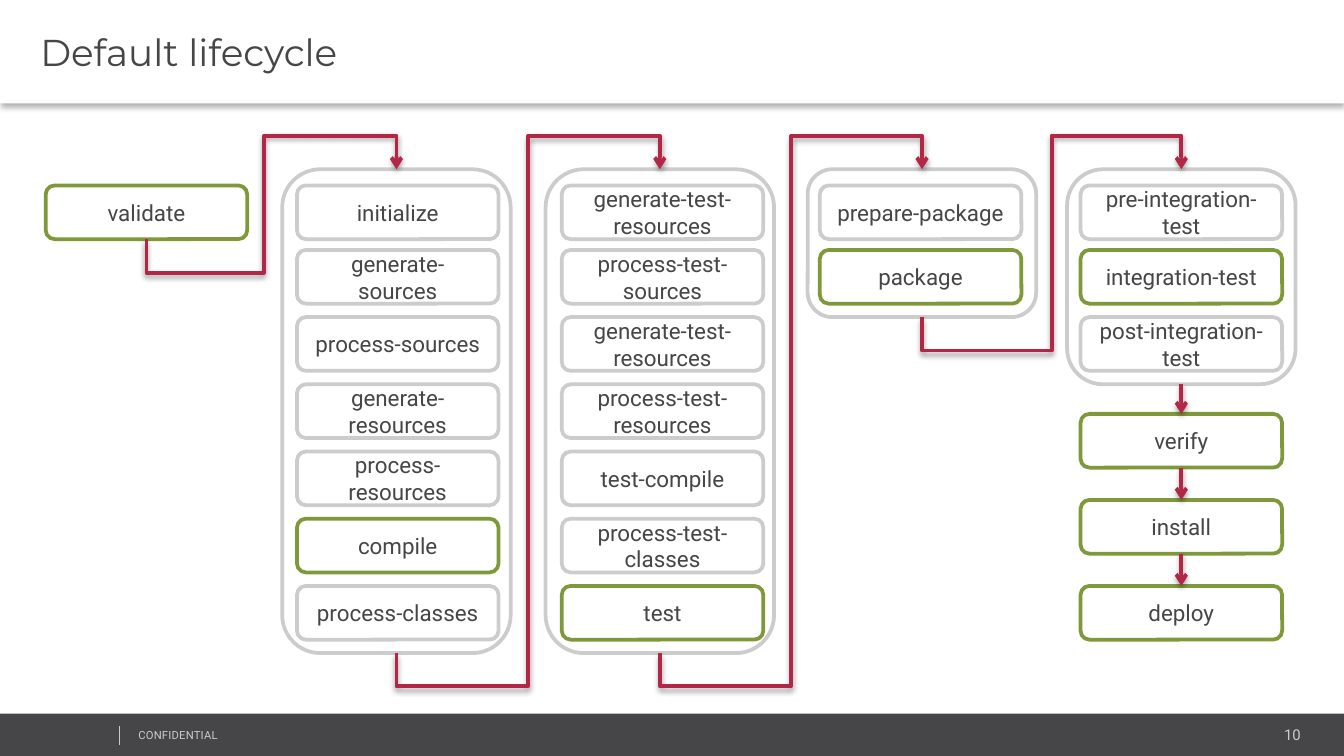
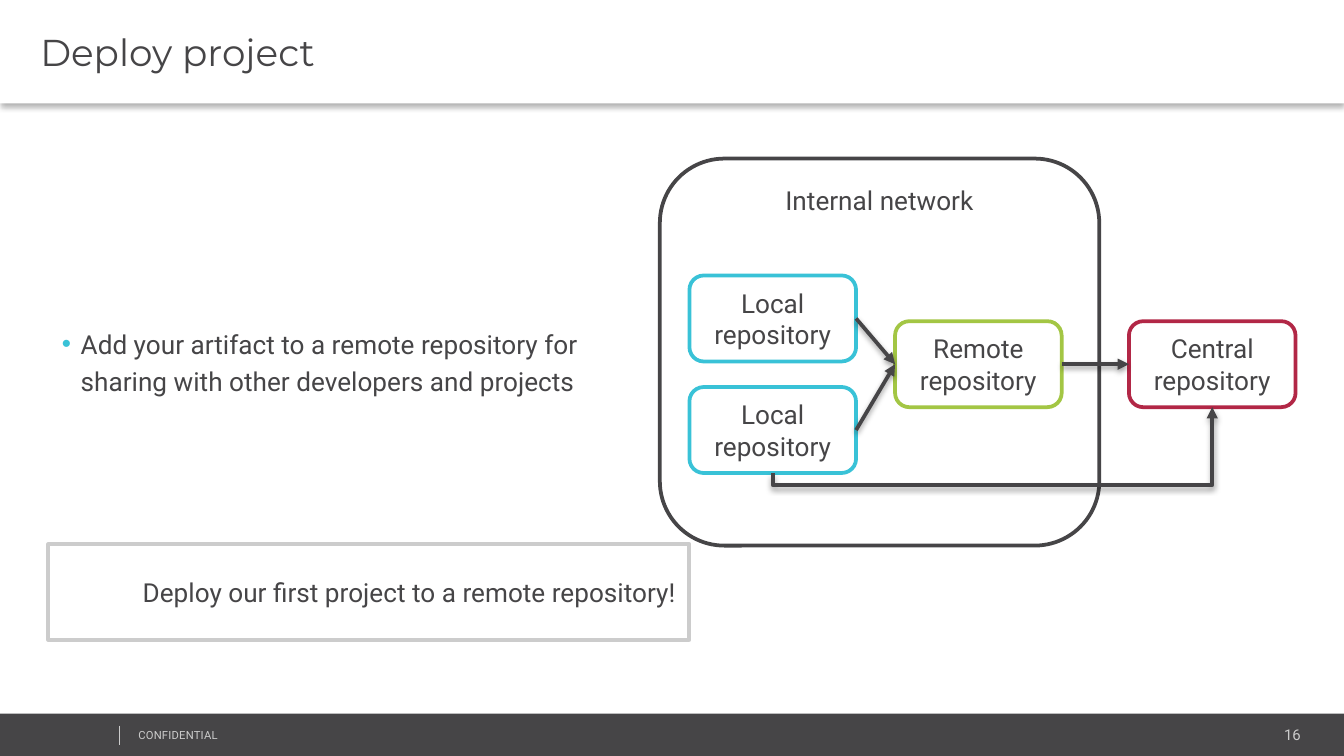
from dataclasses import dataclass
from enum import IntEnum

from lxml.etree import SubElement
from pptx import Presentation
from pptx.dml.color import RGBColor
from pptx.enum.shapes import MSO_CONNECTOR as Connection, MSO_SHAPE as Preset
from pptx.enum.text import MSO_ANCHOR as Anchor, MSO_AUTO_SIZE as AutoSize, PP_ALIGN as Align
from pptx.oxml.ns import qn
from pptx.shapes.autoshape import Shape
from pptx.shapes.connector import Connector
from pptx.slide import Slide
from pptx.util import Inches, Pt

DARK, GRAY, WHITE = "464547", "CCCCCC", "FFFFFF"
RED, OLIVE, LIME, CYAN = "B22746", "7F993A", "A3C644", "39C2D7"
HEADING_FONT, BODY_FONT = "Montserrat", "Roboto"
TITLE_ONLY, TITLE_AND_BODY = 5, 1
SLIDE_WIDTH = Inches(10)
SLIDE_HEIGHT = SLIDE_WIDTH * 9 // 16
ELBOW_REACH = 0.25


class Site(IntEnum):
    """Connection sites of rectangles."""
    TOP = 0
    LEFT = 1
    BOTTOM = 2
    RIGHT = 3


@dataclass(frozen=True)
class Box:
    left: float
    top: float
    width: float
    height: float
    text: str = ""
    line: str = GRAY
    size: float = 12
    align: Align = Align.CENTER
    anchor: Anchor = Anchor.MIDDLE
    preset: Preset = Preset.ROUNDED_RECTANGLE


@dataclass(frozen=True)
class PhaseGroup:
    frame_left: float
    box_left: float
    phases: tuple[str, ...]


@dataclass(frozen=True)
class ArrowStyle:
    color: str
    head: str


MAIN_PHASES = {"validate", "compile", "test", "package", "integration-test",
               "verify", "install", "deploy"}
PHASE_GROUPS = (
    PhaseGroup(2.1, 2.21, ("initialize", "generate-sources", "process-sources",
                           "generate-resources", "process-resources", "compile",
                           "process-classes")),
    PhaseGroup(4.06, 4.18, ("generate-test-resources", "process-test-sources",
                            "generate-test-resources", "process-test-resources",
                            "test-compile", "process-test-classes", "test")),
    PhaseGroup(6.01, 6.1, ("prepare-package", "package")),
    PhaseGroup(7.94, 8.04, ("pre-integration-test", "integration-test",
                            "post-integration-test")),
)
FLOW_ARROW = ArrowStyle(RED, "arrow")
NETWORK_ARROW = ArrowStyle(DARK, "triangle")


def rgb(color: str) -> RGBColor:
    return RGBColor.from_string(color)


def place(shape: Shape, left: float, top: float, width: float, height: float) -> None:
    shape.left, shape.top = Inches(left), Inches(top)
    shape.width, shape.height = Inches(width), Inches(height)


def write(shape: Shape, text: str, size: float, color: str = DARK, font: str = BODY_FONT,
          align: Align = Align.LEFT, anchor: Anchor = Anchor.MIDDLE):
    """Fill the first paragraph with one run; return the paragraph and the run."""
    frame = shape.text_frame
    frame.word_wrap = True
    frame.auto_size = AutoSize.NONE
    frame.vertical_anchor = anchor
    paragraph = frame.paragraphs[0]
    paragraph.alignment = align
    run = paragraph.add_run()
    run.text = text
    run.font.size = Pt(size)
    run.font.name = font
    run.font.color.rgb = rgb(color)
    return paragraph, run


def set_insets(shape: Shape, left: float = 0.07) -> None:
    frame = shape.text_frame
    frame.margin_left, frame.margin_right = Inches(left), Inches(0.07)
    frame.margin_top = frame.margin_bottom = Inches(0.04)


def add_shadow(shape: Shape | Connector, opacity: int, distance: float) -> None:
    """Cast a soft black shadow straight down."""
    effects = SubElement(shape._element.spPr, qn("a:effectLst"))
    shadow = SubElement(effects, qn("a:outerShdw"), blurRad=str(Pt(3.1)),
                        dist=str(Pt(distance)), dir="5400000", algn="t", rotWithShape="0")
    color = SubElement(shadow, qn("a:srgbClr"), val="000000")
    SubElement(color, qn("a:alpha"), val=str(opacity * 1000))


def add_box(slide: Slide, box: Box) -> Shape:
    shape = slide.shapes.add_shape(box.preset, Inches(box.left), Inches(box.top),
                                   Inches(box.width), Inches(box.height))
    shape.shadow.inherit = False
    shape.fill.solid()
    shape.fill.fore_color.rgb = rgb(WHITE)
    shape.line.color.rgb = rgb(box.line)
    shape.line.width = Pt(2)
    if box.text:
        write(shape, box.text, box.size, align=box.align, anchor=box.anchor)
    return shape


def style_arrow(connector: Connector, style: ArrowStyle) -> None:
    connector.line.color.rgb = rgb(style.color)
    connector.line.width = Pt(2)
    SubElement(connector._element.spPr.find(qn("a:ln")), qn("a:tailEnd"), type=style.head)
    add_shadow(connector, opacity=38, distance=1.6)


def add_arrow(slide: Slide, start: Shape, start_site: Site, end: Shape, end_site: Site,
              style: ArrowStyle) -> None:
    connector = slide.shapes.add_connector(Connection.STRAIGHT, 0, 0, 0, 0)
    connector.begin_connect(start, start_site)
    connector.end_connect(end, end_site)
    style_arrow(connector, style)


def add_elbow(slide: Slide, start: Shape, end: Shape, end_site: Site, style: ArrowStyle,
              reach: float = ELBOW_REACH, bend: float = 0.5) -> None:
    """Leave the bottom of start, step aside and rise to the top or bottom of end."""
    start_x, start_y = start.left + start.width // 2, start.top + start.height
    end_x = end.left + end.width // 2
    end_y = end.top + (end.height if end_site == Site.BOTTOM else 0)
    rise, run = start_y - end_y, end_x - start_x
    left = (start_x + end_x - rise) // 2
    top = (start_y + end_y - run) // 2
    connector = slide.shapes.add_connector(Connection.ELBOW, left, top, left + rise, top + run)

    properties = connector._element.spPr
    transform = properties.find(qn("a:xfrm"))
    for name, value in (("rot", "5400000"), ("flipH", "1"), ("flipV", "1")):
        transform.set(name, value)
    overshoot = Inches(reach) / rise
    bends = [-overshoot] if end_site == Site.BOTTOM else [-overshoot, bend, 1 + overshoot]
    geometry = properties.find(qn("a:prstGeom"))
    geometry.set("prst", f"bentConnector{len(bends) + 2}")
    adjustments = geometry.find(qn("a:avLst"))
    for number, value in enumerate(bends, 1):
        SubElement(adjustments, qn("a:gd"), name=f"adj{number}",
                   fmla=f"val {round(value * 100000)}")
    style_arrow(connector, style)


def add_footer(slide: Slide, number: int) -> None:
    bar = slide.shapes.add_shape(Preset.RECTANGLE, 0, Inches(5.31), Inches(10.01), Inches(0.33))
    bar.shadow.inherit = False
    bar.fill.solid()
    bar.fill.fore_color.rgb = rgb(DARK)
    bar.line.fill.background()

    page = slide.shapes.add_textbox(Inches(8.12), Inches(5.36), Inches(1.63), Inches(0.21))
    set_insets(page)
    write(page, str(number), 8, GRAY, align=Align.RIGHT, anchor=Anchor.TOP)

    notice = slide.shapes.add_textbox(Inches(0.96), Inches(5.38), Inches(2.53), Inches(0.18))
    set_insets(notice)
    _, run = write(notice, "CONFIDENTIAL", 6, GRAY, anchor=Anchor.TOP)
    run.font._element.set("spc", "10")

    divider = slide.shapes.add_connector(Connection.STRAIGHT, Inches(0.89), Inches(5.4),
                                         Inches(0.89), Inches(5.54))
    divider.line.color.rgb = rgb(GRAY)
    divider.line.width = Pt(0.25)
    SubElement(divider._element.spPr, qn("a:effectLst"))


def add_slide(presentation: Presentation, layout: int, title: str, number: int) -> Slide:
    slide = presentation.slides.add_slide(presentation.slide_layouts[layout])
    band = slide.shapes.title
    place(band, 0, 0, 10, 0.77)
    band.fill.solid()
    band.fill.fore_color.rgb = rgb(WHITE)
    add_shadow(band, opacity=30, distance=2)
    set_insets(band, left=0.3)
    write(band, title, 20, font=HEADING_FONT)
    add_footer(slide, number)
    return slide


def add_phase(slide: Slide, left: float, top: float, name: str) -> Shape:
    line = OLIVE if name in MAIN_PHASES else GRAY
    return add_box(slide, Box(left, top, 1.5, 0.4, name, line))


def add_phase_group(slide: Slide, group: PhaseGroup) -> Shape:
    frame = add_box(slide, Box(group.frame_left, 1.26, 1.7, 0.1 + 0.5 * len(group.phases)))
    for row, name in enumerate(group.phases):
        add_phase(slide, group.box_left, 1.36 + 0.5 * row if row else 1.38, name)
    return frame


def build_lifecycle(presentation: Presentation) -> None:
    slide = add_slide(presentation, TITLE_ONLY, "Default lifecycle", 10)
    validate = add_phase(slide, 0.34, 1.38, "validate")
    frames = [add_phase_group(slide, group) for group in PHASE_GROUPS]
    final_phases = [add_phase(slide, 8.04, 3.08 + 0.64 * row, name)
                    for row, name in enumerate(("verify", "install", "deploy"))]

    add_elbow(slide, validate, frames[0], Site.TOP, FLOW_ARROW, bend=0.47)
    for start, end in zip(frames, frames[1:]):
        add_elbow(slide, start, end, Site.TOP, FLOW_ARROW)
    for start, end in zip([frames[-1], *final_phases], final_phases):
        add_arrow(slide, start, Site.BOTTOM, end, Site.TOP, FLOW_ARROW)


def fill_bullet(body: Shape, text: str) -> None:
    place(body, 0.39, 1.18, 4.22, 2.99)
    set_insets(body)
    paragraph, _ = write(body, text, 14)
    paragraph.line_spacing = 1.2
    paragraph.space_before, paragraph.space_after = Pt(0), Pt(7.5)
    properties = paragraph._p.get_or_add_pPr()
    properties.set("marL", str(Inches(0.14)))
    properties.set("indent", str(-Inches(0.14)))
    bullet_color = SubElement(properties, qn("a:buClr"))
    SubElement(bullet_color, qn("a:srgbClr"), val=CYAN)
    SubElement(properties, qn("a:buChar"), char="•")


def add_repository(slide: Slide, left: float, top: float, kind: str, line: str) -> Shape:
    return add_box(slide, Box(left, top, 1.24, 0.64, f"{kind} repository", line, size=14))


def build_deployment(presentation: Presentation) -> None:
    slide = add_slide(presentation, TITLE_AND_BODY, "Deploy project", 16)
    fill_bullet(slide.placeholders[1], "Add your artifact to a remote repository for "
                                       "sharing with other developers and projects")
    add_box(slide, Box(4.91, 1.18, 3.27, 2.88, "Internal network", DARK, 14,
                       anchor=Anchor.TOP))
    local_repositories = [add_repository(slide, 5.13, top, "Local", CYAN)
                          for top in (2.05, 2.88)]
    remote = add_repository(slide, 6.66, 2.39, "Remote", LIME)
    central = add_repository(slide, 8.4, 2.39, "Central", RED)

    for local in local_repositories:
        add_arrow(slide, local, Site.RIGHT, remote, Site.LEFT, NETWORK_ARROW)
    add_arrow(slide, remote, Site.RIGHT, central, Site.LEFT, NETWORK_ARROW)
    add_elbow(slide, local_repositories[-1], central, Site.BOTTOM, NETWORK_ARROW, reach=0.09)
    add_box(slide, Box(0.36, 4.05, 4.77, 0.71,
                       "Deploy our first project to a remote repository!", size=14,
                       align=Align.RIGHT, preset=Preset.RECTANGLE))


def main() -> None:
    presentation = Presentation()
    presentation.slide_width, presentation.slide_height = SLIDE_WIDTH, SLIDE_HEIGHT
    build_lifecycle(presentation)
    build_deployment(presentation)
    presentation.save("out.pptx")


if __name__ == "__main__":
    main()
